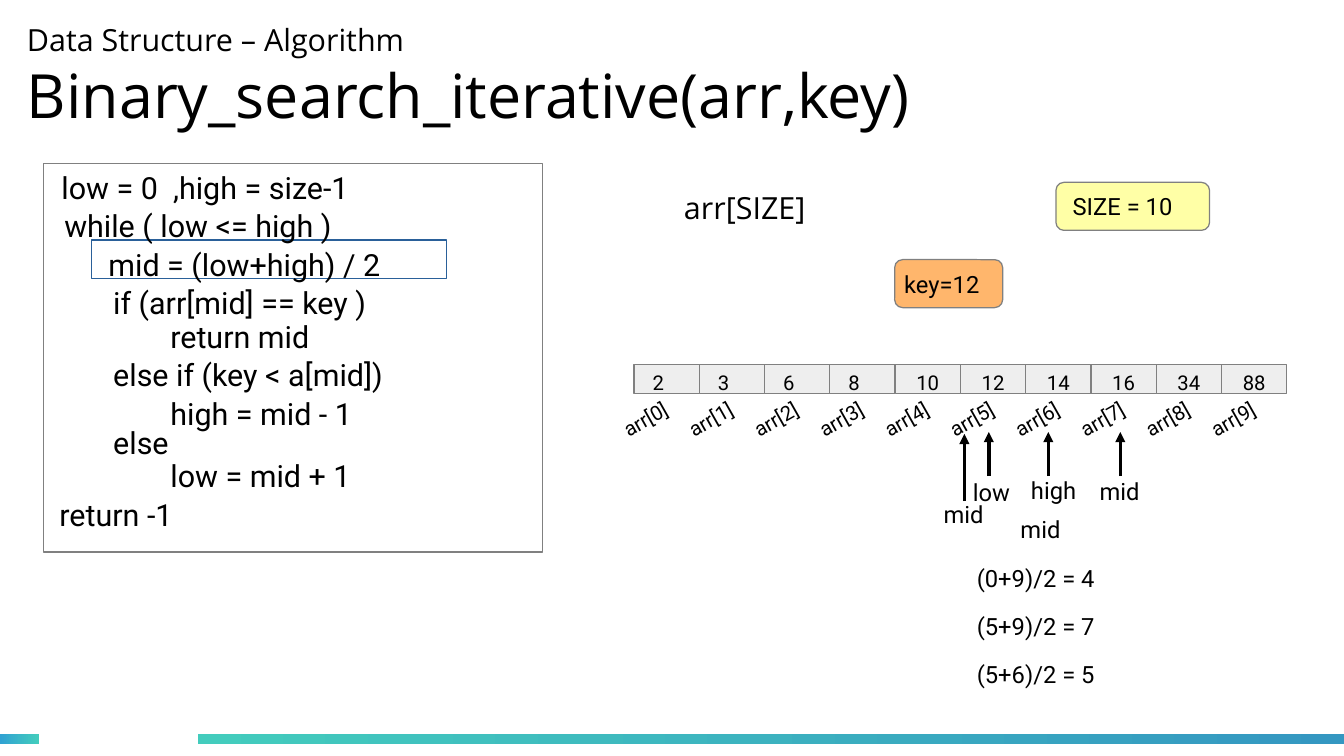
from dataclasses import dataclass

from lxml.etree import SubElement
from pptx import Presentation
from pptx.dml.color import RGBColor
from pptx.enum.shapes import MSO_CONNECTOR, MSO_SHAPE
from pptx.enum.text import MSO_ANCHOR, MSO_AUTO_SIZE, PP_ALIGN
from pptx.oxml.ns import qn
from pptx.util import Cm, Pt


@dataclass(frozen=True)
class Theme:
    black: str = "000000"
    white: str = "FFFFFF"
    gray: str = "808080"
    cell: str = "EEEEEE"
    yellow: str = "FFFFA6"
    orange: str = "FFB66C"
    highlight: str = "2A6099"
    teal: str = "43CCBD"
    sky: str = "30A2D2"
    blue: str = "3497C1"
    heading: tuple = ("Open Sans", 36)
    subheading: tuple = ("Open Sans", 18)
    code: tuple = ("Roboto", 18)
    note: tuple = ("Roboto", 14)
    small: tuple = ("Roboto", 12)


theme = Theme()
presentation = Presentation()
presentation.slide_width, presentation.slide_height = Cm(28), Cm(15.75)
slide = presentation.slides.add_slide(presentation.slide_layouts[5])


def write(shape, text, style, left_inset=0.25, right_inset=0.25,
          anchor=MSO_ANCHOR.TOP, alignment=PP_ALIGN.LEFT):
    """Add a run of text to the shape and format its frame."""
    frame = shape.text_frame
    frame_format = {
        "word_wrap": True, "auto_size": MSO_AUTO_SIZE.NONE,
        "vertical_anchor": anchor, "margin_left": Cm(left_inset),
        "margin_right": Cm(right_inset), "margin_top": Cm(0.13), "margin_bottom": Cm(0),
    }
    for name, value in frame_format.items():
        setattr(frame, name, value)
    paragraph = frame.paragraphs[0]
    paragraph.alignment = alignment
    run = paragraph.add_run()
    run.text = text
    for name, value in {"name": style[0], "size": Pt(style[1])}.items():
        setattr(run.font, name, value)
    run.font.color.rgb = RGBColor.from_string(theme.black)


def add_box(kind, left, top, width, height, fill, line):
    """Add a filled preset shape with a hairline outline."""
    shape = slide.shapes.add_shape(kind, Cm(left), Cm(top), Cm(width), Cm(height))
    shape.shadow.inherit = False
    shape.fill.solid()
    shape.fill.fore_color.rgb = RGBColor.from_string(fill)
    shape.line.color.rgb = RGBColor.from_string(line)
    shape.line.width = Pt(0)
    return shape


# Footer bars
for left, width, colors in [(0, 0.81, (theme.sky, theme.teal)),
                            (4.13, 23.87, (theme.teal, theme.blue))]:
    bar = add_box(MSO_SHAPE.RECTANGLE, left, 15.3, width, 0.21, theme.teal, theme.teal)
    bar.line.fill.background()
    bar.fill.gradient()
    bar.fill.gradient_angle = 0
    for stop, color in zip(bar.fill.gradient_stops, colors):
        stop.color.rgb = RGBColor.from_string(color)

# Title
title = slide.shapes.title
title_place = {"left": Cm(0.56), "top": Cm(-0.33), "width": Cm(26.44), "height": Cm(3.68)}
for name, value in title_place.items():
    setattr(title, name, value)
write(title, "Data Structure – Algorithm", theme.subheading, 0, 0, MSO_ANCHOR.MIDDLE)
title.text_frame.paragraphs[0].add_line_break()
write(title, "Binary_search_iterative(arr,key)", theme.heading, 0, 0, MSO_ANCHOR.MIDDLE)

# Code panel with the current line framed
add_box(MSO_SHAPE.RECTANGLE, 0.9, 3.4, 10.4, 8.1, theme.white, theme.gray)
add_box(MSO_SHAPE.RECTANGLE, 1.9, 5, 7.4, 0.8, theme.white, theme.highlight)

# Code lines, array name, pointer names and sums
texts = [
    (1.03, 3.4, "low = 0  ,high = size-1", theme.code),
    (1.09, 4.19, "while ( low <= high )", theme.code),
    (2.01, 5, "mid = (low+high) / 2", theme.code),
    (2.11, 5.79, "if (arr[mid] == key )", theme.code),
    (3.3, 6.5, "return mid", theme.code),
    (2.11, 7.29, "else if (key < a[mid])", theme.code),
    (3.3, 8.1, "high = mid - 1", theme.code),
    (2.11, 8.71, "else", theme.code),
    (3.3, 9.4, "low = mid + 1", theme.code),
    (0.99, 10.21, "return -1", theme.code),
    (14, 3.8, "arr[SIZE]", theme.subheading),
    (20.02, 9.83, "low", theme.note),
    (21.23, 9.78, "high", theme.note),
    (22.66, 9.8, "mid", theme.note),
    (19.41, 10.29, "mid", theme.note),
    (21.01, 10.59, "mid", theme.note),
]
sums = ["(0+9)/2 = 4", "(5+9)/2 = 7", "(5+6)/2 = 5"]
texts += [(20.1, 11.61 + index, line, theme.note) for index, line in enumerate(sums)]
for left, top, text, style in texts:
    width, height = (7.5, 1.1) if style == theme.code else (3.6, 0.95)
    if style == theme.note and "=" not in text:
        width = 1.65
    box = slide.shapes.add_textbox(Cm(left), Cm(top), Cm(width), Cm(height))
    write(box, text, style)

# Size and key badges
for left, top, width, fill, text, inset in [
    (22, 3.8, 3.2, theme.yellow, "SIZE = 10", 0.3),
    (18.64, 5.41, 2.25, theme.orange, "key=12", 0.15),
]:
    badge = add_box(MSO_SHAPE.ROUNDED_RECTANGLE, left, top, width, 1, fill, theme.gray)
    write(badge, text, theme.note, inset, 0, MSO_ANCHOR.MIDDLE)
    badge.text_frame.margin_top = Cm(0)

# Array cells with slanted index labels
cell_pitch = 1.36
for index, value in enumerate([2, 3, 6, 8, 10, 12, 14, 16, 34, 88]):
    offset = index * cell_pitch
    cell = add_box(MSO_SHAPE.RECTANGLE, 13.21 + offset, 7.59, cell_pitch, 0.61,
                   theme.cell, theme.gray)
    write(cell, str(value), theme.small, 0, 0.35 if value < 10 else 0,
          alignment=PP_ALIGN.CENTER)
    label = slide.shapes.add_textbox(Cm(12.7 + offset), Cm(8.26), Cm(1.8), Cm(0.84))
    label.rotation = 330.4
    write(label, f"arr[{index}]", theme.small, right_inset=0)

# Pointer arrows
for x, start, end in [(20.6, 9.92, 9), (21.84, 9.92, 9), (23.34, 9.92, 9),
                      (20.09, 10.44, 9.04)]:
    arrow = slide.shapes.add_connector(MSO_CONNECTOR.STRAIGHT, Cm(x), Cm(start), Cm(x), Cm(end))
    arrow.line.color.rgb = RGBColor.from_string(theme.black)
    arrow.line.width = Pt(0)
    SubElement(arrow.line._get_or_add_ln(), qn("a:tailEnd"), type="triangle")
    SubElement(arrow._element.spPr, qn("a:effectLst"))

presentation.save("out.pptx")
